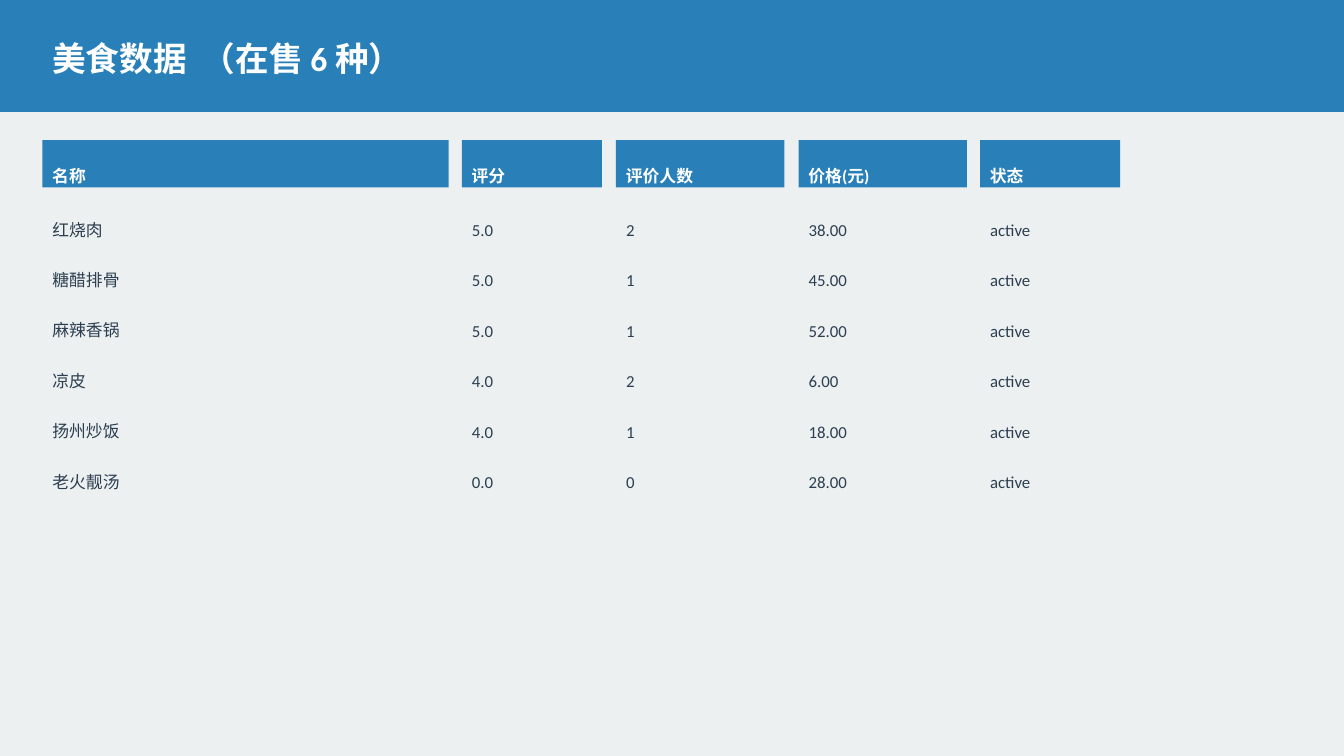
import pptx
import pptx.util
import pptx.dml.color
import pptx.enum.shapes
import pptx.enum.text
import pptx.oxml.ns

Inches = pptx.util.Inches
RGBColor = pptx.dml.color.RGBColor
BLUE = RGBColor(0x29, 0x80, 0xB9)
PALE = RGBColor(0xEC, 0xF0, 0xF1)
WHITE = RGBColor(0xFF, 0xFF, 0xFF)
DARK = RGBColor(0x2C, 0x3E, 0x50)

WIDTH, LEFT, PAD = 13.33, 0.42, 0.1
HEAD_TOP, HEAD_HIGH = 1.39, 0.47
BODY_TOP, ROW_HIGH = 1.94, 0.5
# Name, left and width of each column
HEADS = [
    ("名称", LEFT, 4.03),
    ("评分", 4.58, 1.39),
    ("评价人数", 6.11, 1.67),
    ("价格(元)", 7.92, 1.67),
    ("状态", 9.72, 1.39),
]
FOODS = [
    ("红烧肉", "5.0", "2", "38.00", "active"),
    ("糖醋排骨", "5.0", "1", "45.00", "active"),
    ("麻辣香锅", "5.0", "1", "52.00", "active"),
    ("凉皮", "4.0", "2", "6.00", "active"),
    ("扬州炒饭", "4.0", "1", "18.00", "active"),
    ("老火靓汤", "0.0", "0", "28.00", "active"),
]


def add_block(slide, left, top, width, height, color):
    block = slide.shapes.add_shape(
        pptx.enum.shapes.MSO_SHAPE.RECTANGLE,
        Inches(left), Inches(top), Inches(width), Inches(height))
    block.shadow.inherit = False
    block.fill.solid()
    block.fill.fore_color.rgb = color
    block.line.fill.background()
    return block


def add_band(slide, height, color):
    band = add_block(slide, 0, 0, WIDTH, height, color)
    band.line.color.rgb = color
    band.line.width = pptx.util.Pt(0.75)


def set_text(frame, text, size, color, bold):
    para = frame.paragraphs[0]
    para.text = text
    para.alignment = pptx.enum.text.PP_ALIGN.LEFT
    para.font.name = "Calibri"
    para.font.size = pptx.util.Pt(size)
    para.font.color.rgb = color
    para.font.bold = bold


def set_low(box, foot):
    """Rest the text of a cell or frame near its lower edge."""
    box.margin_left = box.margin_right = Inches(PAD)
    box.margin_top = 0
    box.margin_bottom = Inches(foot)
    box.vertical_anchor = pptx.enum.text.MSO_ANCHOR.BOTTOM


def add_title(slide, text):
    box = slide.shapes.add_textbox(
        Inches(LEFT), Inches(0.16), Inches(12.5), Inches(0.83))
    box.text_frame.word_wrap = True
    box.text_frame.vertical_anchor = pptx.enum.text.MSO_ANCHOR.MIDDLE
    set_text(box.text_frame, text, 24, WHITE, True)


def add_head(slide, text, left, width):
    block = add_block(slide, left, HEAD_TOP, width, HEAD_HIGH, BLUE)
    set_low(block.text_frame, 0.02)
    set_text(block.text_frame, text, 12, WHITE, True)


def add_foods(slide):
    edges = [left for _, left, _ in HEADS] + [HEADS[-1][1] + HEADS[-1][2]]
    frame = slide.shapes.add_table(
        len(FOODS), len(HEADS), Inches(LEFT), Inches(BODY_TOP),
        Inches(edges[-1] - LEFT), Inches(ROW_HIGH * len(FOODS)))
    table = frame.table
    table.first_row = False
    table.horz_banding = False
    # Plain style without grid lines
    style = table._tbl.tblPr.find(pptx.oxml.ns.qn("a:tableStyleId"))
    style.text = "{2D5ABB26-0587-4C30-8999-92F81FD0307C}"
    for col, (start, end) in enumerate(zip(edges, edges[1:])):
        table.columns[col].width = Inches(end - start)
    for row, food in enumerate(FOODS):
        table.rows[row].height = Inches(ROW_HIGH)
        for col, text in enumerate(food):
            cell = table.cell(row, col)
            set_low(cell, 0.05)
            set_text(cell.text_frame, text, 12, DARK, False)
            cell.fill.background()


def main():
    deck = pptx.Presentation()
    deck.slide_width = Inches(WIDTH)
    deck.slide_height = Inches(7.5)
    slide = deck.slides.add_slide(deck.slide_layouts[6])
    # Page and title band
    add_band(slide, 7.5, PALE)
    add_band(slide, 1.11, BLUE)
    add_title(slide, "美食数据  （在售 6 种）")
    # Column heads and food table
    for head in HEADS:
        add_head(slide, *head)
    add_foods(slide)
    deck.save("out.pptx")


if __name__ == "__main__":
    main()
